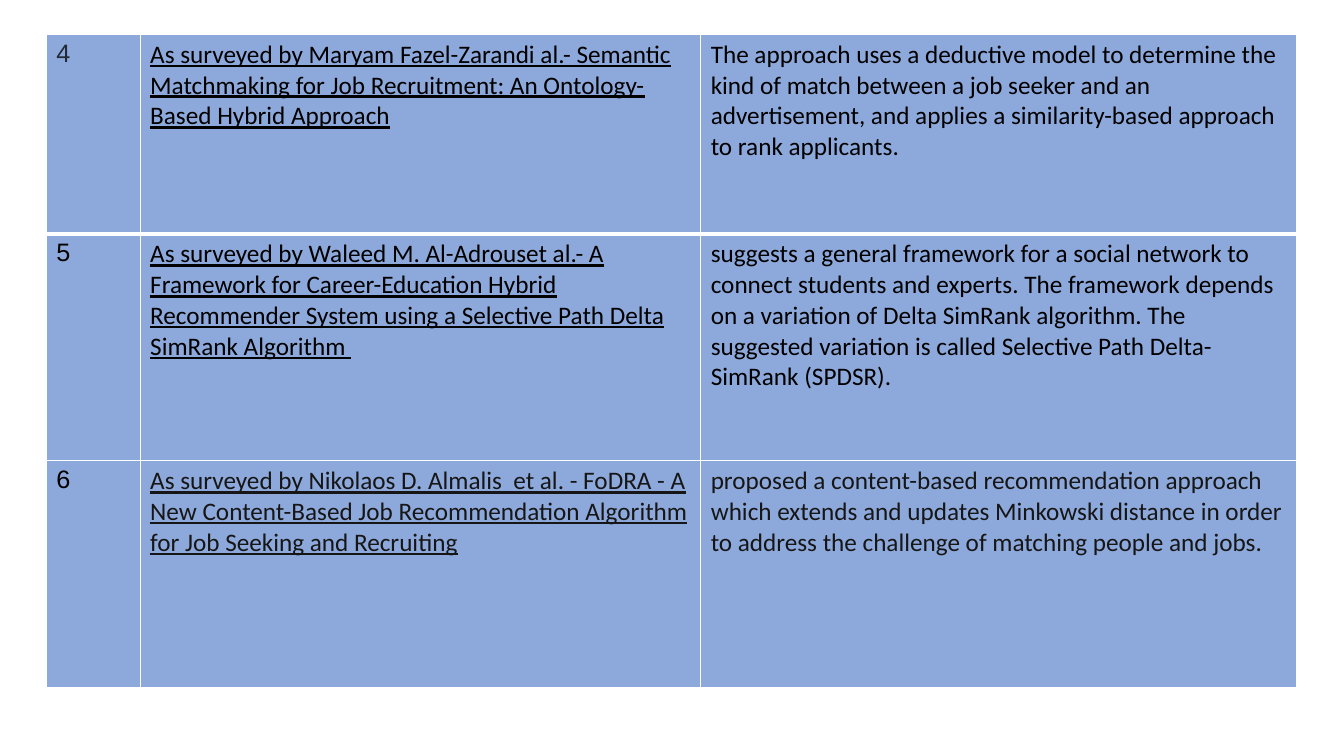
import dataclasses

import lxml.etree
import pptx
import pptx.dml.color
import pptx.oxml.ns
import pptx.table
import pptx.util

Inches = pptx.util.Inches
Pt = pptx.util.Pt
RGBColor = pptx.dml.color.RGBColor

WHITE = RGBColor(0xFF, 0xFF, 0xFF)
BLUE = RGBColor(0x8D, 0xA9, 0xDB)
BLACK = RGBColor(0x00, 0x00, 0x00)
SLATE = RGBColor(0x22, 0x2A, 0x35)
CHARCOAL = RGBColor(0x17, 0x16, 0x16)

COLUMN_WIDTHS = (0.93, 5.56, 5.91)
THIN_BORDER = 1
HEAVY_BORDER = 3


@dataclasses.dataclass(frozen=True)
class Survey:
    number: str
    paper: str
    finding: str
    height: float
    number_color: RGBColor = BLACK
    text_color: RGBColor = BLACK
    top_border: int = THIN_BORDER
    bottom_border: int = THIN_BORDER


SURVEYS = (
    Survey(
        "4",
        "As surveyed by Maryam Fazel-Zarandi al.- Semantic Matchmaking for Job "
        "Recruitment: An Ontology-Based Hybrid Approach",
        "The approach uses a deductive model to determine the kind of match between "
        "a job seeker and an advertisement, and applies a similarity-based approach "
        "to rank applicants.",
        1.98,
        number_color=SLATE,
        bottom_border=HEAVY_BORDER,
    ),
    Survey(
        "5",
        "As surveyed by Waleed M. Al-Adrouset al.- A Framework for Career-Education "
        "Hybrid Recommender System using a Selective Path Delta SimRank Algorithm ",
        "suggests a general framework for a social network to connect students and "
        "experts. The framework depends on a variation of Delta SimRank algorithm. "
        "The suggested variation is called Selective Path Delta-SimRank (SPDSR).",
        2.25,
        top_border=HEAVY_BORDER,
    ),
    Survey(
        "6",
        "As surveyed by Nikolaos D. Almalis  et al. - FoDRA - A New Content-Based "
        "Job Recommendation Algorithm for Job Seeking and Recruiting",
        "proposed a content-based recommendation approach which extends and updates "
        "Minkowski distance in order to address the challenge of matching people "
        "and jobs.",
        2.25,
        text_color=CHARCOAL,
    ),
)


def set_border(cell: pptx.table._Cell, tag: str, width: int) -> None:
    qn = pptx.oxml.ns.qn
    properties = cell._tc.get_or_add_tcPr()
    line = lxml.etree.SubElement(properties, qn(tag), w=str(Pt(width)))
    fill = lxml.etree.SubElement(line, qn("a:solidFill"))
    lxml.etree.SubElement(fill, qn("a:srgbClr"), val=str(WHITE))


def fill_cell(
    cell: pptx.table._Cell,
    survey: Survey,
    text: str,
    font_name: str,
    color: RGBColor,
    underline: bool,
) -> None:
    set_border(cell, "a:lnL", THIN_BORDER)
    set_border(cell, "a:lnR", THIN_BORDER)
    set_border(cell, "a:lnT", survey.top_border)
    set_border(cell, "a:lnB", survey.bottom_border)
    cell.fill.solid()
    cell.fill.fore_color.rgb = BLUE
    cell.margin_left = cell.margin_right = Inches(0.1)
    cell.margin_top = cell.margin_bottom = Inches(0.05)
    cell.text_frame.text = text
    font = cell.text_frame.paragraphs[0].runs[0].font
    font.name = font_name
    font.size = Pt(18)
    font.bold = False
    font.underline = underline
    font.color.rgb = color


def main() -> None:
    presentation = pptx.Presentation()
    presentation.slide_width = Inches(13.33)
    presentation.slide_height = Inches(7.5)
    blank_layout = presentation.slide_layouts.get_by_name("Blank")
    slide = presentation.slides.add_slide(blank_layout)

    survey_table = slide.shapes.add_table(
        len(SURVEYS),
        len(COLUMN_WIDTHS),
        Inches(0.46),
        Inches(0.34),
        Inches(sum(COLUMN_WIDTHS)),
        Inches(sum(survey.height for survey in SURVEYS)),
    ).table
    survey_table.first_row = False
    survey_table.horz_banding = False
    for column, width in zip(survey_table.columns, COLUMN_WIDTHS):
        column.width = Inches(width)

    for row, survey in zip(survey_table.rows, SURVEYS):
        row.height = Inches(survey.height)
        number, paper, finding = row.cells
        fill_cell(number, survey, survey.number, "Arial", survey.number_color, False)
        fill_cell(paper, survey, survey.paper, "Calibri", survey.text_color, True)
        fill_cell(finding, survey, survey.finding, "Calibri", survey.text_color, False)

    presentation.save("out.pptx")


if __name__ == "__main__":
    main()
